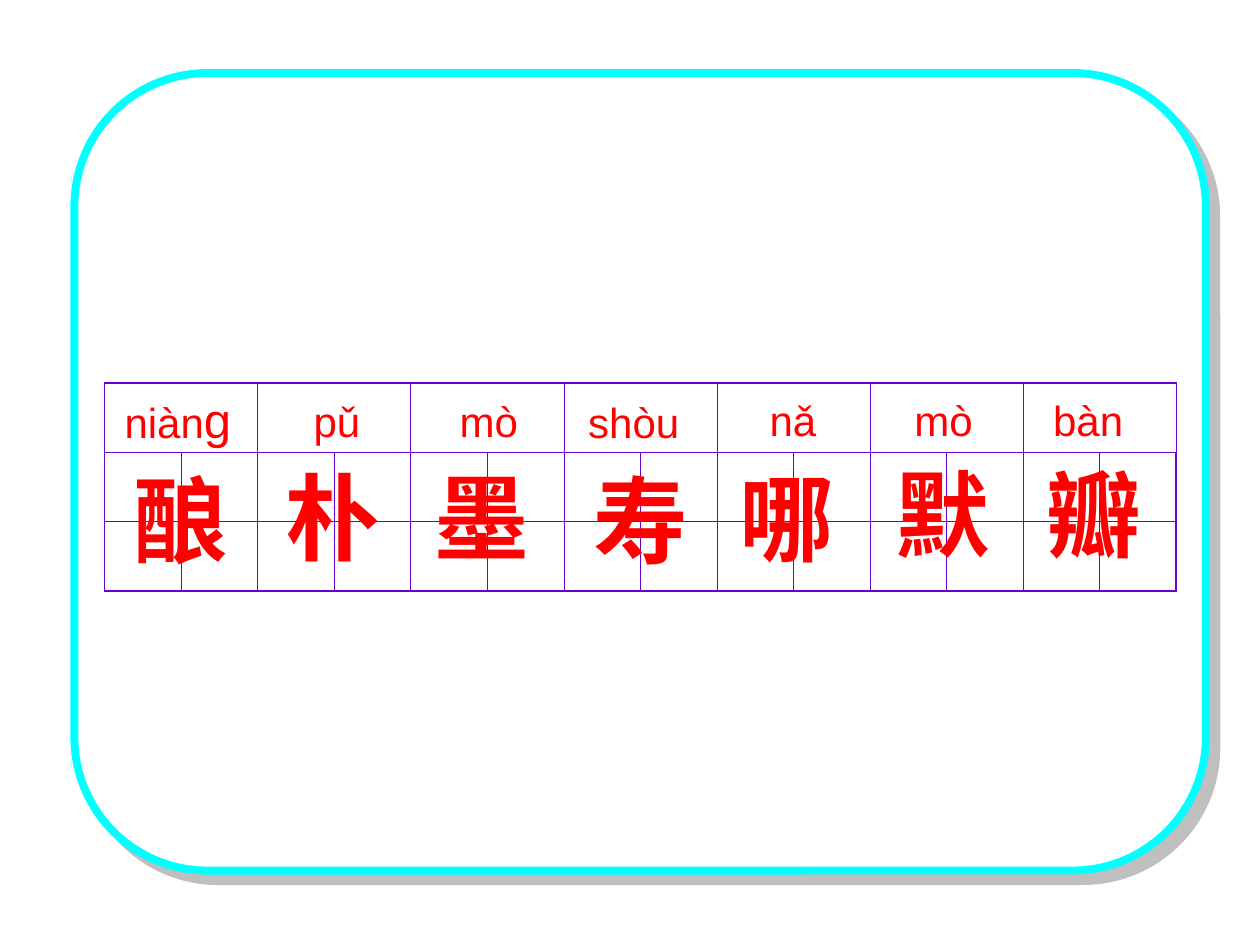
import pptx
import pptx.dml.color
import pptx.enum.shapes
import pptx.enum.text
import pptx.oxml
import pptx.oxml.ns
import pptx.util

Inches = pptx.util.Inches

PINYIN = [
    ([("niàn", "pinyin"), ("ɡ", "pinyin_large")], (0.89, 3.04, 1.08, 0.57)),
    ([("pǔ", "pinyin")], (2.39, 3.09, 0.6, 0.5)),
    ([("mò", "pinyin")], (3.55, 3.09, 0.7, 0.5)),
    ([("shòu", "pinyin")], (4.57, 3.1, 0.96, 0.5)),
    ([("nǎ", "pinyin")], (6.01, 3.08, 0.6, 0.5)),
    ([("mò", "pinyin")], (7.16, 3.08, 0.7, 0.5)),
    ([("bàn", "pinyin")], (8.26, 3.08, 0.79, 0.5)),
]
CHARACTERS = [
    ("酿", 0.96, 3.62),
    ("朴", 2.17, 3.59),
    ("墨", 3.35, 3.59),
    ("寿", 4.61, 3.62),
    ("哪", 5.77, 3.6),
    ("默", 7.01, 3.57),
    ("瓣", 8.21, 3.57),
]
CHARACTER_SIZE = (0.97, 1)
FRAME = (0.59, 0.58, 8.98, 6.33)
GRID = (0.83, 3.04, 8.51, 1.65)
ROWS, COLUMNS = 3, 2 * len(CHARACTERS)

THEME = {
    "font": "Arial",
    "text": "FF0000",
    "paper": "FFFFFF",
    "frame": "00FFFF",
    "shadow": "808080",
    "grid": "6600CC",
    "frame_width": 4.5,
    "inner_width": 0.34,
    "outer_width": 1.08,
    "pinyin": 24,
    "pinyin_large": 28,
    "character": 54,
}


def color(name):
    return pptx.dml.color.RGBColor.from_string(THEME[name])


def parse_drawing(xml):
    return pptx.oxml.parse_xml(xml.replace(">", f" {pptx.oxml.ns.nsdecls('a')}>", 1))


def add_frame(slide):
    shape = slide.shapes.add_shape(
        pptx.enum.shapes.MSO_SHAPE.ROUNDED_RECTANGLE, *map(Inches, FRAME)
    )
    shape.adjustments[0] = 0.167
    shape.fill.solid()
    shape.fill.fore_color.rgb = color("paper")
    shape.line.color.rgb = color("frame")
    shape.line.width = pptx.util.Pt(THEME["frame_width"])
    distance = pptx.util.Pt(8.5)
    shape._element.spPr.append(parse_drawing(
        f'<a:effectLst><a:outerShdw blurRad="0" dist="{distance}" dir="2700000" '
        f'algn="ctr" rotWithShape="0"><a:srgbClr val="{THEME["shadow"]}">'
        '<a:alpha val="50000"/></a:srgbClr></a:outerShdw></a:effectLst>'
    ))


def add_label(slide, runs, box, bold=False):
    text_frame = slide.shapes.add_textbox(*map(Inches, box)).text_frame
    text_frame.word_wrap = False
    text_frame.auto_size = pptx.enum.text.MSO_AUTO_SIZE.SHAPE_TO_FIT_TEXT
    paragraph = text_frame.paragraphs[0]
    for text, size in runs:
        run = paragraph.add_run()
        run.text = text
        run.font.name = THEME["font"]
        run.font.size = pptx.util.Pt(THEME[size])
        run.font.bold = bold
        run.font.color.rgb = color("text")


def draw_borders(cell, row, column):
    outer_edges = {
        "L": column == 0,
        "R": column == COLUMNS - 1,
        "T": row == 0,
        "B": row == ROWS - 1,
    }
    properties = cell._tc.get_or_add_tcPr()
    for side, is_outer in outer_edges.items():
        width = pptx.util.Pt(THEME["outer_width" if is_outer else "inner_width"])
        properties.append(parse_drawing(
            f'<a:ln{side} w="{width}"><a:solidFill>'
            f'<a:srgbClr val="{THEME["grid"]}"/></a:solidFill></a:ln{side}>'
        ))


def add_grid(slide):
    table = slide.shapes.add_table(ROWS, COLUMNS, *map(Inches, GRID)).table
    table.first_row = False
    table.horz_banding = False
    for row in range(ROWS):
        for column in range(COLUMNS):
            cell = table.cell(row, column)
            draw_borders(cell, row, column)
            cell.fill.background()
    for column in range(0, COLUMNS, 2):
        table.cell(0, column).merge(table.cell(0, column + 1))


def main():
    presentation = pptx.Presentation()
    presentation.slide_width = Inches(10)
    presentation.slide_height = Inches(7.5)
    slide = presentation.slides.add_slide(presentation.slide_layouts[6])
    add_frame(slide)
    for runs, box in PINYIN:
        add_label(slide, runs, box)
    add_grid(slide)
    for character, left, top in CHARACTERS:
        add_label(slide, [(character, "character")], (left, top, *CHARACTER_SIZE), bold=True)
    presentation.save("out.pptx")


if __name__ == "__main__":
    main()
